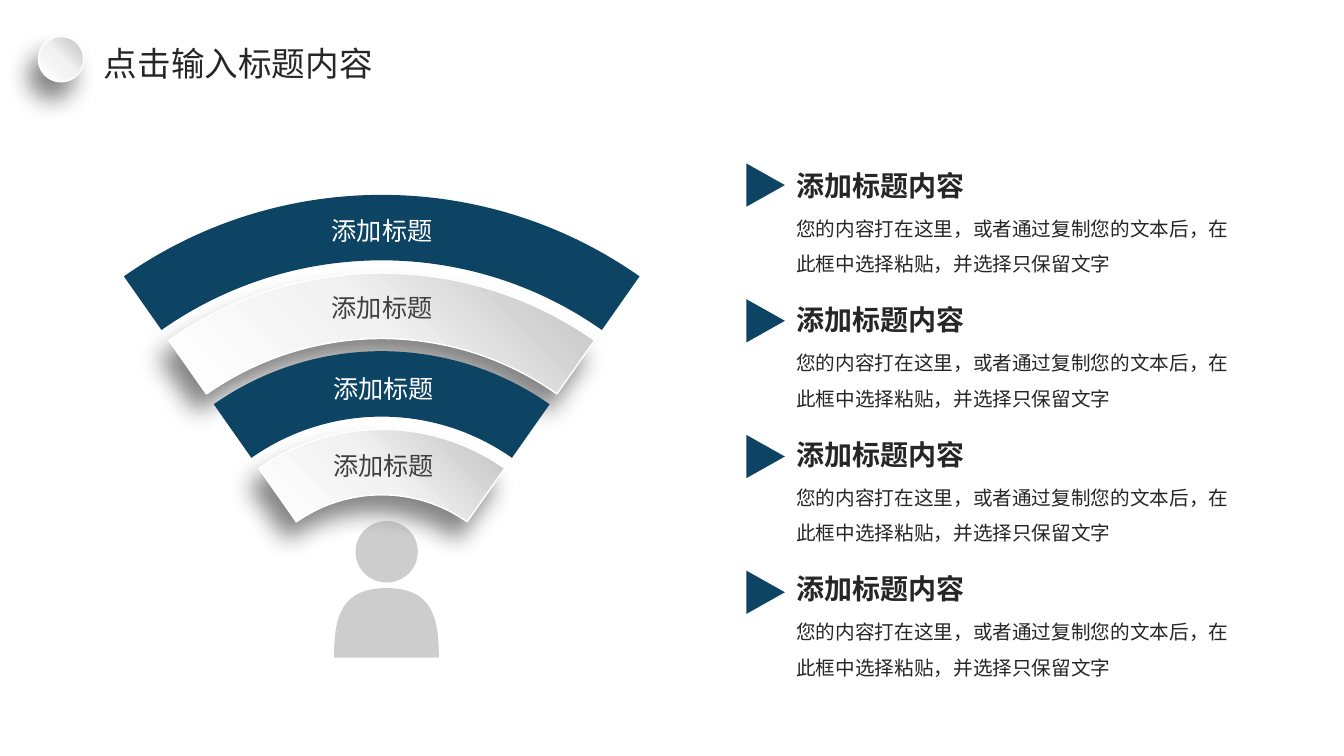
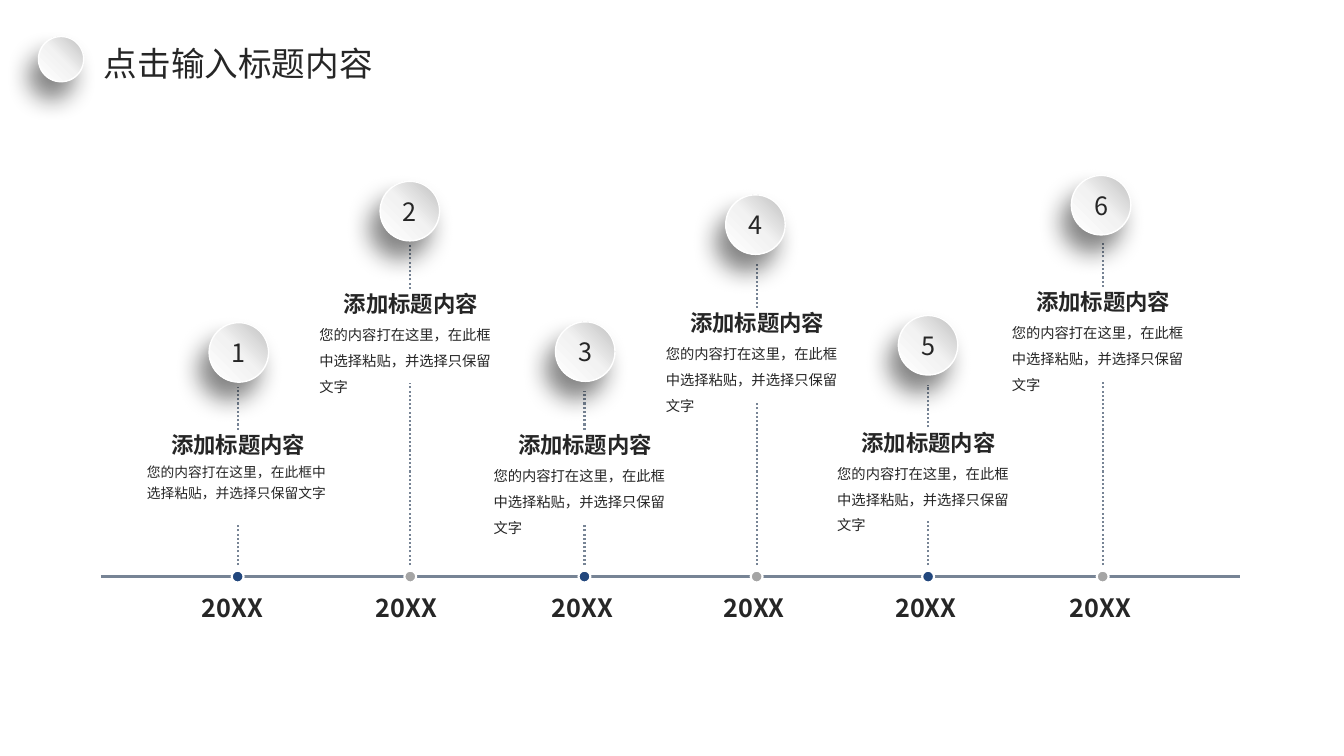
from dataclasses import dataclass
from itertools import pairwise
from math import cos, radians, sin, tan

from pptx import Presentation
from pptx.dml.color import RGBColor
from pptx.enum.dml import MSO_LINE_DASH_STYLE as Dash
from pptx.enum.shapes import MSO_CONNECTOR as Connector, MSO_SHAPE as Preset
from pptx.enum.text import MSO_ANCHOR as Anchor, MSO_AUTO_SIZE as AutoSize, PP_ALIGN as Align
from pptx.oxml import parse_xml
from pptx.oxml.ns import nsdecls, qn
from pptx.oxml.xmlchemy import OxmlElement
from pptx.util import Cm, Pt

Point = tuple[float, float]


@dataclass(frozen=True)
class Theme:
    font: str = "Noto Sans CJK SC"
    white: str = "FFFFFF"
    ink: str = "262626"
    label_gray: str = "404040"
    navy: str = "0D4363"
    dot_blue: str = "22477D"
    dot_gray: str = "A5A5A5"
    axis: str = "778495"
    person: str = "808080"
    shadow: str = "0D0D0D"
    gloss: tuple[tuple[int, str], ...] = ((0, "BFBFBF"), (50, "F2F2F2"), (100, "FFFFFF"))
    title_size: float = 24
    item_size: float = 20
    label_size: float = 18
    heading_size: float = 16
    body_size: float = 14
    note_size: float = 10.2


THEME = Theme()


@dataclass(frozen=True)
class TextStyle:
    size: float
    color: str = THEME.ink
    bold: bool = False
    align: Align | None = None
    spacing: float | None = None


@dataclass(frozen=True)
class Wave:
    label_left: float
    label_top: float
    glossy: bool


@dataclass(frozen=True)
class Milestone:
    x: float
    ball_left: float
    ball_top: float
    stem_top: float
    heading_top: float
    year_left: float
    note_size: float = THEME.note_size
    note_spacing: float = 1.5


WAVES = [
    Wave(8.11, 5.29, False),
    Wave(8.11, 7.24, True),
    Wave(8.15, 9.29, False),
    Wave(8.15, 11.23, True),
]
MILESTONES = [
    Milestone(5.99, 5.27, 8.13, 9.75, 10.74, 4.84, 9.8, 1.3),
    Milestone(10.34, 9.58, 4.57, 6.17, 7.19, 9.22),
    Milestone(14.73, 14.0, 8.11, 9.86, 10.74, 13.65),
    Milestone(19.07, 18.29, 4.91, 6.65, 7.67, 17.98),
    Milestone(23.39, 22.64, 7.95, 9.7, 10.68, 22.31),
    Milestone(27.79, 27.0, 4.42, 6.12, 7.14, 26.71),
]
TITLE = "点击输入标题内容"
HEADING = "添加标题内容"
WAVE_LABEL = "添加标题"
ITEM_BODY = "您的内容打在这里，或者通过复制您的文本后，在此框中选择粘贴，并选择只保留文字"
NOTE = "您的内容打在这里，在此框中选择粘贴，并选择只保留文字"
YEAR = "20XX"


# Text
def write(frame, text: str, style: TextStyle) -> None:
    frame.text = text
    para = frame.paragraphs[0]
    para.alignment = style.align
    para.line_spacing = style.spacing
    for span in para.runs:
        span.font.size = Pt(style.size)
        span.font.bold = style.bold
        span.font.color.rgb = RGBColor.from_string(style.color)
        span.font.name = THEME.font
        east_asian = OxmlElement("a:ea")
        east_asian.set("typeface", THEME.font)
        span._r.get_or_add_rPr().append(east_asian)


def add_text(page, left: float, top: float, width: float, height: float, text: str,
             style: TextStyle, wrap: bool = True, grow: bool = False):
    box = page.shapes.add_textbox(Cm(left), Cm(top), Cm(width), Cm(height))
    frame = box.text_frame
    frame.word_wrap = wrap
    frame.auto_size = AutoSize.SHAPE_TO_FIT_TEXT if grow else AutoSize.NONE
    write(frame, text, style)
    return box


# Shape finishes
def paint(shape, color: str, alpha: int | None = None) -> None:
    shape.shadow.inherit = False
    shape.fill.solid()
    shape.fill.fore_color.rgb = RGBColor.from_string(color)
    shape.line.fill.background()
    if alpha is not None:
        opacity = OxmlElement("a:alpha")
        opacity.set("val", str(alpha * 1000))
        shape._element.spPr.find(qn("a:solidFill"))[0].append(opacity)


def outline(line, color: str, width: float) -> None:
    line.color.rgb = RGBColor.from_string(color)
    line.width = Pt(width)


def make_glossy(shape) -> None:
    shape.shadow.inherit = False
    shape.fill.gradient()
    outline(shape.line, THEME.white, 1)
    properties = shape._element.spPr
    stops = "".join(f'<a:gs pos="{at * 1000}"><a:srgbClr val="{color}"/></a:gs>'
                    for at, color in THEME.gloss)
    properties.replace(properties.find(qn("a:gradFill")), parse_xml(
        f'<a:gradFill {nsdecls("a")} rotWithShape="1"><a:gsLst>{stops}</a:gsLst>'
        f'<a:lin ang="{135 * 60000}" scaled="0"/></a:gradFill>'))
    properties.find(qn("a:effectLst")).append(parse_xml(
        f'<a:outerShdw {nsdecls("a")} blurRad="{Pt(17)}" dist="{Pt(14)}" dir="{120 * 60000}" '
        f'algn="ctr" rotWithShape="0"><a:srgbClr val="{THEME.shadow}">'
        f'<a:alpha val="50000"/></a:srgbClr></a:outerShdw>'))


# Drawing parts
def add_preset(shapes, preset: Preset, left: float, top: float, width: float, height: float):
    return shapes.add_shape(preset, Cm(left), Cm(top), Cm(width), Cm(height))


def add_ball(page, left: float, top: float, size: float, text: str = "") -> None:
    ball = add_preset(page.shapes, Preset.OVAL, left, top, size, size)
    make_glossy(ball)
    if text:
        ball.text_frame.vertical_anchor = Anchor.MIDDLE
        write(ball.text_frame, text, TextStyle(THEME.label_size, align=Align.CENTER))


def add_curved(shapes, points: list[Point]):
    """Draw a closed outline: a start, then two handles and an end for each curve."""
    corners = [(Cm(x), Cm(y)) for x, y in points]
    builder = shapes.build_freeform(*corners[0])
    builder.add_line_segments(corners[1:], close=True)
    shape = builder.convert_to_shape()
    segments = list(shape._element.spPr.iter(qn("a:lnTo")))
    for first in range(0, len(segments), 3):
        curve = OxmlElement("a:cubicBezTo")
        segments[first].addprevious(curve)
        for segment in segments[first:first + 3]:
            curve.append(segment[0])
            segment.getparent().remove(segment)
    return shape


def add_line(page, start: Point, end: Point, width: float, dash: Dash | None = None) -> None:
    line = page.shapes.add_connector(Connector.STRAIGHT, *(Cm(value) for value in start + end))
    outline(line.line, THEME.axis, width)
    line.line.dash_style = dash
    line._element.spPr.append(OxmlElement("a:effectLst"))


def add_title(page) -> None:
    title = add_text(page, 2.62, 0.89, 7.87, 1.4, TITLE, TextStyle(THEME.title_size))
    title.text_frame.margin_left = title.text_frame.margin_right = 0
    title.text_frame.vertical_anchor = Anchor.MIDDLE
    add_ball(page, 0.97, 0.92, 1.14)


# Slide 1: signal waves
def half_arc(center: Point, radius: float, angle: float) -> list[Point]:
    """Points of one curve from the top of a circle to the angle on its right."""
    x, y = center
    reach = radius * 4 / 3 * tan(angle / 4)
    end = (x + radius * sin(angle), y - radius * cos(angle))
    return [(x, y - radius), (x + reach, y - radius),
            (end[0] - reach * cos(angle), end[1] - reach * sin(angle)), end]


def mirror(points: list[Point], middle: float) -> list[Point]:
    return [(2 * middle - x, y) for x, y in reversed(points)]


def add_waves(page) -> None:
    center, outer, step, thickness = (9.62, 16.21), 11.3, 1.97, 1.65
    angle = radians(35.1)
    for index, wave in enumerate(WAVES):
        radius = outer - index * step
        inside = half_arc(center, radius - thickness, angle)
        outside = half_arc(center, radius, angle)
        right = inside + [inside[-1], outside[-1]] + outside[::-1]
        band = add_curved(page.shapes, right + mirror(right, center[0])[1:])
        if wave.glossy:
            make_glossy(band)
        else:
            paint(band, THEME.navy)


def add_person(page) -> None:
    person = page.shapes.add_group_shape()
    head = add_preset(person.shapes, Preset.OVAL, 8.96, 13.13, 1.57, 1.55)
    middle, top, bottom = 9.74, 14.82, 16.57
    shoulder = [(middle, top), (middle - 1.18, top),
                (middle - 1.32, 15.6), (middle - 1.32, bottom)]
    opposite = mirror(shoulder, middle)
    body = add_curved(person.shapes, shoulder + [shoulder[-1], opposite[0]] + opposite)
    for part in (head, body):
        paint(part, THEME.person, alpha=39)


def add_wave_labels(page) -> None:
    for wave in WAVES:
        color = THEME.label_gray if wave.glossy else THEME.white
        add_text(page, wave.label_left, wave.label_top, 3.05, 1.02, WAVE_LABEL,
                 TextStyle(THEME.label_size, color), wrap=False, grow=True)


def add_items(page) -> None:
    count, left = 4, 19.82
    for index in range(count):
        top = 4.11 + index * 3.39
        add_text(page, left, top, 8.84, 1.12, HEADING,
                 TextStyle(THEME.item_size, bold=True), grow=True)
        add_text(page, left, top + 0.93, 11.46, 2.06, ITEM_BODY,
                 TextStyle(THEME.body_size, spacing=1.5), grow=True)
    for index in range(count):
        marker = add_preset(page.shapes, Preset.ISOSCELES_TRIANGLE,
                            18.75, 4.18 + index * 3.42, 1.09, 0.97)
        marker.rotation = 90
        paint(marker, THEME.navy)


# Slide 2: timeline
def add_axis(page, y: float) -> None:
    stops = [2.39, *(milestone.x for milestone in MILESTONES), 31.39]
    for start, end in pairwise(stops):
        add_line(page, (start + 0.15, y), (end - 0.15, y), 1.75)


def add_milestone(page, number: int, milestone: Milestone, axis_y: float) -> None:
    x, heading_top = milestone.x, milestone.heading_top
    add_text(page, x - 1.74, heading_top, 3.51, 0.86, HEADING,
             TextStyle(THEME.heading_size, bold=True, align=Align.CENTER), wrap=False)
    add_text(page, x - 2.54, heading_top + 0.7, 5.11, 1.55, NOTE,
             TextStyle(milestone.note_size, spacing=milestone.note_spacing))
    add_text(page, milestone.year_left, axis_y + 0.28, 2.31, 1.17, YEAR,
             TextStyle(THEME.label_size, bold=True), wrap=False)
    dot = add_preset(page.shapes, Preset.OVAL, x - 0.15, axis_y - 0.15, 0.3, 0.3)
    paint(dot, THEME.dot_blue if number % 2 else THEME.dot_gray)
    outline(dot.line, THEME.white, 1.5)
    stems = [(heading_top + 2.46, axis_y - 0.29), (milestone.stem_top, heading_top + 0.09)]
    for top, bottom in stems:
        add_line(page, (x, bottom), (x, top), 1.5, Dash.ROUND_DOT)
    add_ball(page, milestone.ball_left, milestone.ball_top, 1.5, str(number))


def main() -> None:
    deck = Presentation()
    deck.slide_width, deck.slide_height = Cm(33.87), Cm(19.05)
    signal, timeline = (deck.slides.add_slide(deck.slide_layouts[6]) for _ in range(2))

    add_waves(signal)
    add_person(signal)
    add_wave_labels(signal)
    add_items(signal)

    axis_y = 14.53
    add_axis(timeline, axis_y)
    for number, milestone in enumerate(MILESTONES, start=1):
        add_milestone(timeline, number, milestone, axis_y)

    for page in (signal, timeline):
        add_title(page)
    deck.save("out.pptx")


if __name__ == "__main__":
    main()
